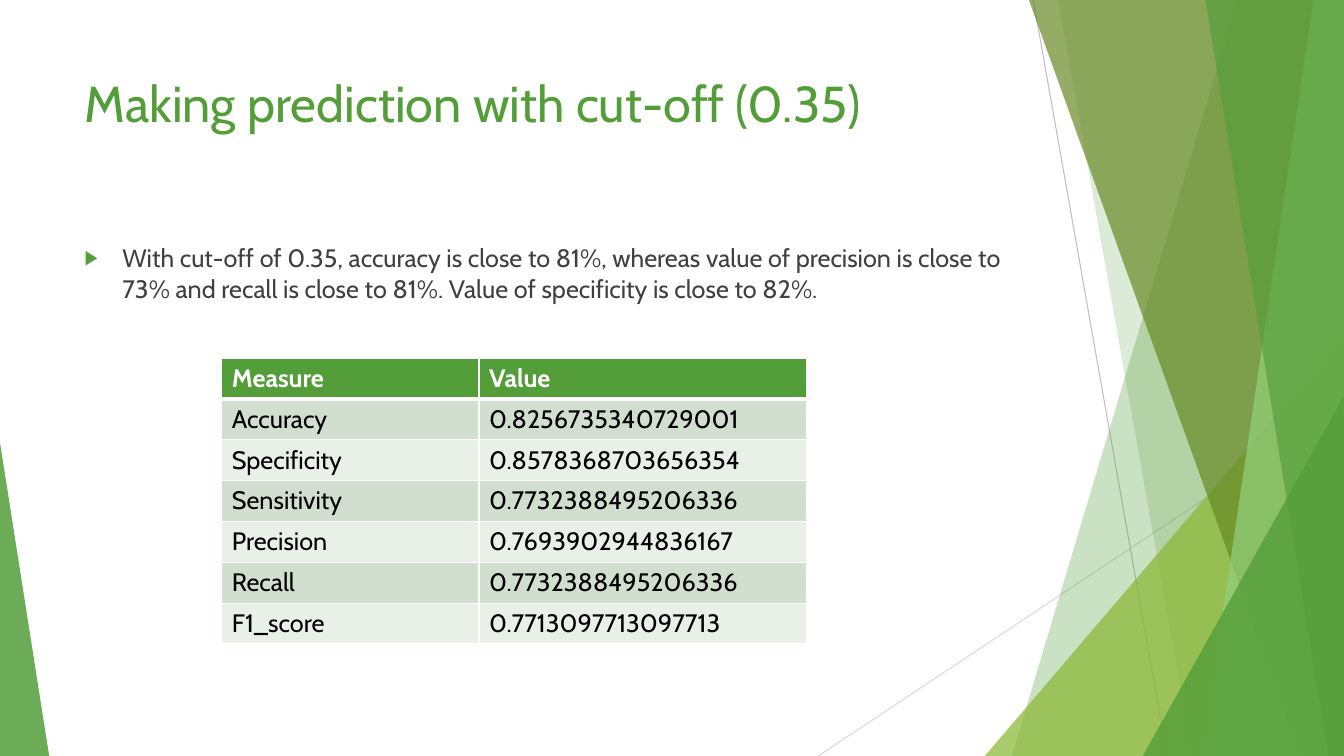
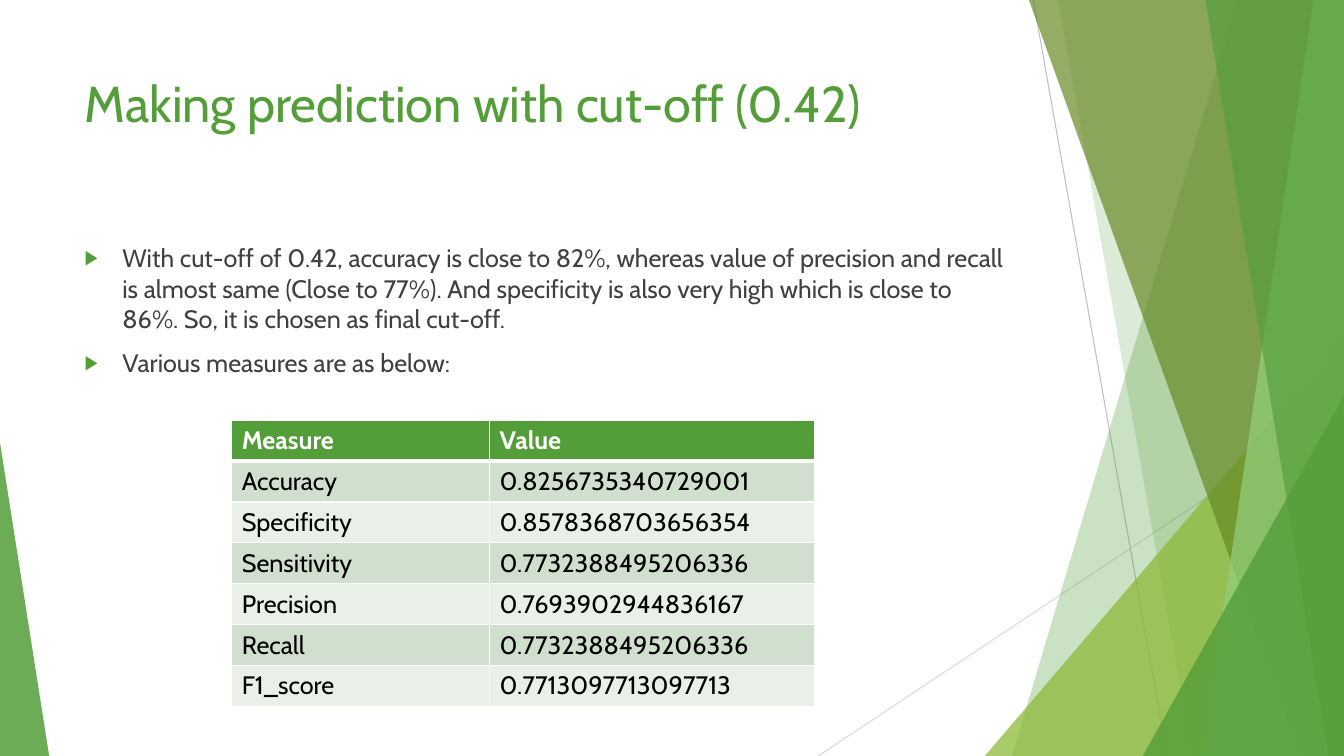
from lxml import etree
from pptx import Presentation, util as u
from pptx.dml.color import RGBColor
from pptx.enum import shapes, text
from pptx.oxml.ns import qn

FONT = "Cabin"
GREEN, LIME, OLIVE, MINT = "549E39", "8AB833", "678A26", "93D07D"
WHITE, BLACK, GREY = "FFFFFF", "000000", "404040"
ROW_FILLS = ["E9F0E8", "D1DFCE"]

WIDTH, HEIGHT = 33.87, 19.05
ROW_HEIGHT = 1.03
TITLE_AREA = (1.88, 1.7, 23.88, 3.66)
BODY_AREA = (1.88, 5.99, 23.88, 10.77)

MEASURES = [
    ("Measure", "Value"),
    ("Accuracy", "0.8256735340729001"),
    ("Specificity", "0.8578368703656354"),
    ("Sensitivity", "0.7732388495206336"),
    ("Precision", "0.7693902944836167"),
    ("Recall", "0.7732388495206336"),
    ("F1_score", "0.7713097713097713"),
]

PAGES = [
    {
        "title": "Making prediction with cut-off (0.35)",
        "bullets": [
            "With cut-off of 0.35, accuracy is close to 81%, whereas value of precision "
            "is close to 73% and recall is close to 81%. Value of specificity is close to 82%.",
        ],
        "table_at": (5.59, 9.02),
        "columns": (6.48, 8.26),
    },
    {
        "title": "Making prediction with cut-off (0.42)",
        "bullets": [
            "With cut-off of 0.42, accuracy is close to 82%, whereas value of precision "
            "and recall is almost same (Close to 77%). And specificity is also very high "
            "which is close to 86%. So, it is chosen as final cut-off.",
            "Various measures are as below:",
        ],
        "table_at": (5.84, 10.59),
        "columns": (6.5, 8.18),
    },
]

LINES = [
    ((26.04, 0), (29.41, HEIGHT), "BFBFBF"),
    ((WIDTH, 10.24), (20.62, HEIGHT), "D9D9D9"),
]
# kind, geometry, colour, opacity
FACETS = [
    ("band", (31.19, 25.5), GREEN, 30),
    ("band", (26.67, 30.05), GREEN, 20),
    ("right", (24.82, 8.46, WIDTH), LIME, 72),
    ("band", (25.93, 32.79), OLIVE, 70),
    ("band", (33.1, 30.28), MINT, 70),
    ("band", (30.38, 33.48), GREEN, 65),
    ("right", (28.8, 9.98, WIDTH), GREEN, 80),
    ("left", (0, 11.15, 1.24), GREEN, 85),
]


def colour(code):
    return RGBColor.from_string(code)


def cm(*lengths):
    return [u.Cm(length) for length in lengths]


def apply(target, values):
    for name, value in values.items():
        setattr(target, name, value)


def add_xml(parent, tag, **attributes):
    return etree.SubElement(parent, qn(tag), attributes)


def write(para, words, size, code, bold=False):
    span = para.add_run()
    span.text = words
    apply(span.font, {"name": FONT, "size": u.Pt(size), "bold": bold})
    span.font.color.rgb = colour(code)


def add_line(page, start, end, code):
    line = page.shapes.add_connector(shapes.MSO_CONNECTOR.STRAIGHT, *cm(*start, *end))
    line.line.color.rgb = colour(code)
    line.line.width = u.Pt(0.75)
    add_xml(line.element.spPr, "a:effectLst")
    return line


def add_facet(page, kind, geometry, code, opacity):
    if kind == "band":
        top_x, bottom_x = geometry
        outline = page.shapes.build_freeform(*cm(top_x, 0))
        corners = [(WIDTH, 0), (WIDTH, HEIGHT), (bottom_x, HEIGHT)]
        outline.add_line_segments([cm(*corner) for corner in corners])
        facet = outline.convert_to_shape()
    else:
        left, top, right = geometry
        facet = page.shapes.add_shape(
            shapes.MSO_SHAPE.ISOSCELES_TRIANGLE,
            *cm(left, top, right - left, HEIGHT - top))
        facet.adjustments[0] = 1 if kind == "right" else 0
    facet.shadow.inherit = False
    facet.line.fill.background()
    facet.fill.solid()
    facet.fill.fore_color.rgb = colour(code)
    fill = facet.element.xpath("./p:spPr/a:solidFill/a:srgbClr")[0]
    add_xml(fill, "a:alpha", val=str(opacity * 1000))
    return facet


def prepare_layout(layout):
    for holder in list(layout.placeholders):
        index = holder.placeholder_format.idx
        if index > 1:
            holder.element.getparent().remove(holder.element)
        else:
            area = BODY_AREA if index else TITLE_AREA
            apply(holder, dict(zip(("left", "top", "width", "height"), cm(*area))))


def move_to_layout(layout, parts):
    for position, part in enumerate(parts, 2):
        layout.shapes.element.insert(position, part.element)


def fill_title(box, words):
    apply(box.text_frame, {"vertical_anchor": text.MSO_ANCHOR.TOP,
                           "auto_size": text.MSO_AUTO_SIZE.NONE})
    para = box.text_frame.paragraphs[0]
    para.alignment = text.PP_ALIGN.LEFT
    write(para, words, 36, GREEN)


def fill_bullets(box, bullets):
    frame = box.text_frame
    frame.auto_size = text.MSO_AUTO_SIZE.NONE
    for number, words in enumerate(bullets):
        para = frame.add_paragraph() if number else frame.paragraphs[0]
        para.space_before = u.Pt(10 if number else 0)
        properties = para._p.get_or_add_pPr()
        properties.set("marL", str(u.Cm(0.95)))
        properties.set("indent", str(-u.Cm(0.95)))
        add_xml(add_xml(properties, "a:buClr"), "a:srgbClr", val=GREEN)
        add_xml(properties, "a:buSzPct", val="80000")
        add_xml(properties, "a:buChar", char="▶")
        write(para, words, 18, GREY)


def add_borders(cell, row):
    widths = {"L": 1, "R": 1, "T": 3 if row == 1 else 1, "B": 3 if row == 0 else 1}
    properties = cell._tc.get_or_add_tcPr()
    for side, points in widths.items():
        border = add_xml(properties, f"a:ln{side}", w=str(u.Pt(points)))
        add_xml(add_xml(border, "a:solidFill"), "a:srgbClr", val=WHITE)


def add_measures(page, position, columns):
    height = ROW_HEIGHT * len(MEASURES)
    table = page.shapes.add_table(
        len(MEASURES), len(columns), *cm(*position, sum(columns), height)).table
    for column, width in zip(table.columns, columns):
        column.width = u.Cm(width)
    for row, values in enumerate(MEASURES):
        table.rows[row].height = u.Cm(ROW_HEIGHT)
        header = row == 0
        for column, words in enumerate(values):
            cell = table.cell(row, column)
            add_borders(cell, row)
            cell.fill.solid()
            cell.fill.fore_color.rgb = colour(GREEN if header else ROW_FILLS[row % 2])
            write(cell.text_frame.paragraphs[0], words, 18,
                  WHITE if header else BLACK, header)


def main():
    deck = Presentation()
    deck.slide_width, deck.slide_height = cm(WIDTH, HEIGHT)
    layout = deck.slide_layouts[1]
    prepare_layout(layout)
    for number, content in enumerate(PAGES):
        page = deck.slides.add_slide(layout)
        if number == 0:
            parts = [add_line(page, *line) for line in LINES]
            parts += [add_facet(page, *facet) for facet in FACETS]
            move_to_layout(layout, parts)
        fill_title(page.shapes.title, content["title"])
        fill_bullets(page.placeholders[1], content["bullets"])
        add_measures(page, content["table_at"], content["columns"])
    deck.save("out.pptx")


if __name__ == "__main__":
    main()
